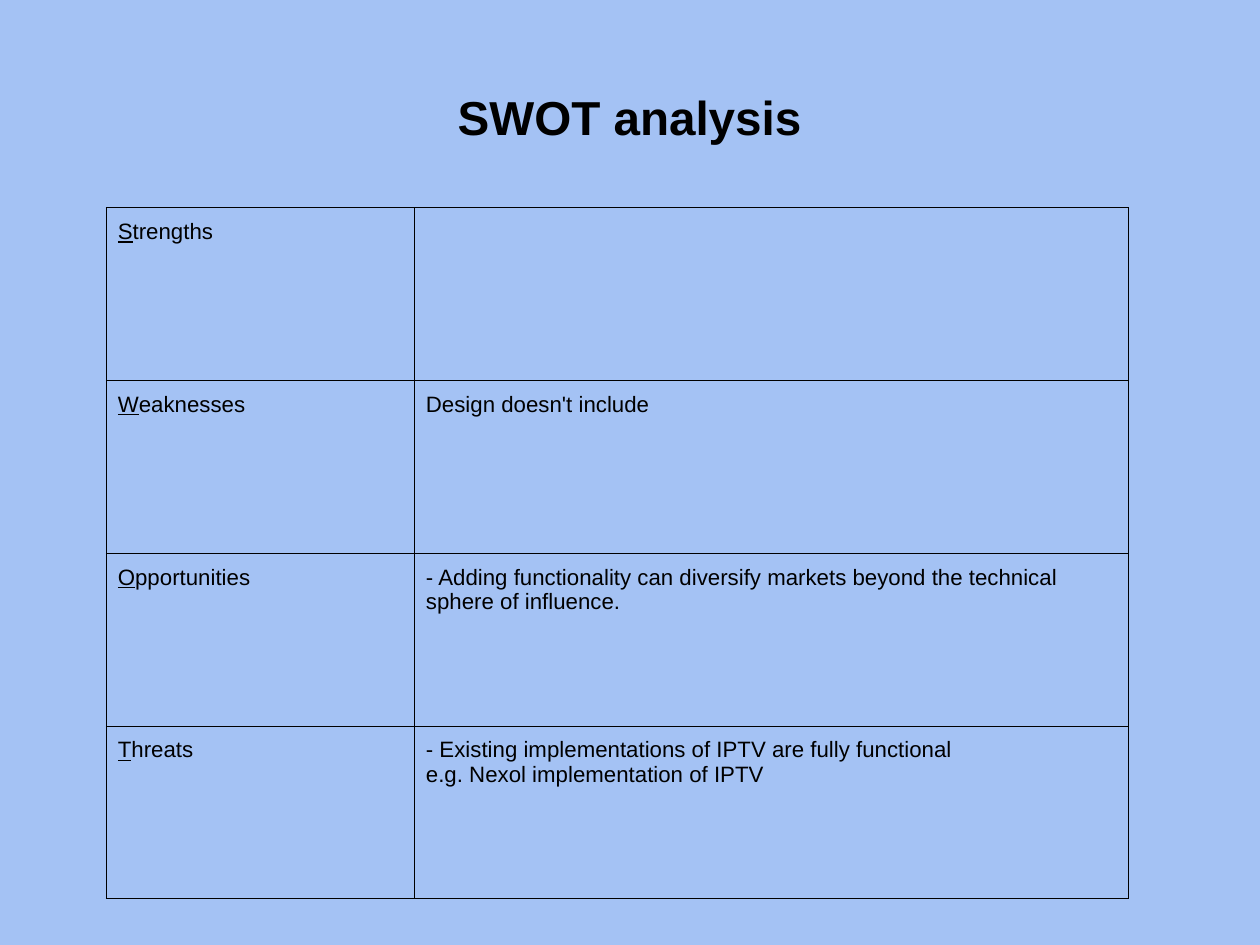
import pptx
import pptx.dml.color
import pptx.enum.text
import pptx.oxml
import pptx.oxml.ns
import pptx.util

Pt = pptx.util.Pt
COLORS = {"background": "A4C2F4", "ink": "000000"}
FONT = "Arial"
SWOT = [
    ("Strengths", ""),
    ("Weaknesses", "Design doesn't include"),
    ("Opportunities", "- Adding functionality can diversify markets beyond "
                      "the technical sphere of influence."),
    ("Threats", "- Existing implementations of IPTV are fully functional\n"
                "e.g. Nexol implementation of IPTV"),
]


def rgb(name):
    return pptx.dml.color.RGBColor.from_string(COLORS[name])


def add_text(p, text, size=14, bold=False, underline=False, color="ink"):
    """Append formatted text to a paragraph; a newline becomes a line break."""
    for i, line in enumerate(text.split("\n")):
        if i:
            p.add_line_break()
        r = p.add_run()
        r.text = line
        r.font.name = FONT
        r.font.size = Pt(size)
        r.font.bold = bold
        r.font.underline = underline
        r.font.color.rgb = rgb(color)


def set_borders(cell, width=0.75, color="ink"):
    tc_pr = cell._tc.get_or_add_tcPr()
    for i, side in enumerate(("lnL", "lnR", "lnT", "lnB")):
        tc_pr.insert(i, pptx.oxml.parse_xml(
            f'<a:{side} {pptx.oxml.ns.nsdecls("a")} w="{Pt(width)}">'
            f'<a:solidFill><a:srgbClr val="{COLORS[color]}"/></a:solidFill>'
            f'</a:{side}>'))


def format_cell(cell, margin=7.2):
    cell.margin_left = cell.margin_right = Pt(margin)
    cell.margin_top = cell.margin_bottom = Pt(margin)
    cell.vertical_anchor = pptx.enum.text.MSO_ANCHOR.TOP
    cell.fill.background()
    set_borders(cell)


def add_title(s, text):
    sp = s.shapes.title
    sp.left, sp.top, sp.width, sp.height = Pt(39.6), Pt(-0.7), Pt(714.2), Pt(147.6)
    tf = sp.text_frame
    tf.margin_left = tf.margin_right = tf.margin_top = tf.margin_bottom = 0
    tf.word_wrap = True
    tf.auto_size = pptx.enum.text.MSO_AUTO_SIZE.NONE
    tf.vertical_anchor = pptx.enum.text.MSO_ANCHOR.MIDDLE
    p = tf.paragraphs[0]
    p.alignment = pptx.enum.text.PP_ALIGN.CENTER
    add_text(p, text, size=30, bold=True)


def add_swot_table(s, rows, widths=(194.1, 449.5), row_height=108.8):
    table = s.shapes.add_table(len(rows), len(widths), Pt(67), Pt(131),
                               Pt(sum(widths)), Pt(row_height * len(rows))).table
    table.first_row = table.horz_banding = False
    for column, width in zip(table.columns, widths):
        column.width = Pt(width)
    for i, (heading, note) in enumerate(rows):
        table.rows[i].height = Pt(row_height)
        head_cell, note_cell = table.cell(i, 0), table.cell(i, 1)
        format_cell(head_cell)
        format_cell(note_cell)
        p = head_cell.text_frame.paragraphs[0]
        add_text(p, heading[0], underline=True)
        add_text(p, heading[1:])
        if note:
            add_text(note_cell.text_frame.paragraphs[0], note)


def main():
    prs = pptx.Presentation()
    prs.slide_width, prs.slide_height = Pt(793.7), Pt(595.28)
    s = prs.slides.add_slide(prs.slide_layouts.get_by_name("Title Only"))
    s.background.fill.solid()
    s.background.fill.fore_color.rgb = rgb("background")
    add_title(s, "SWOT analysis")
    add_swot_table(s, SWOT)
    prs.save("out.pptx")


if __name__ == "__main__":
    main()
